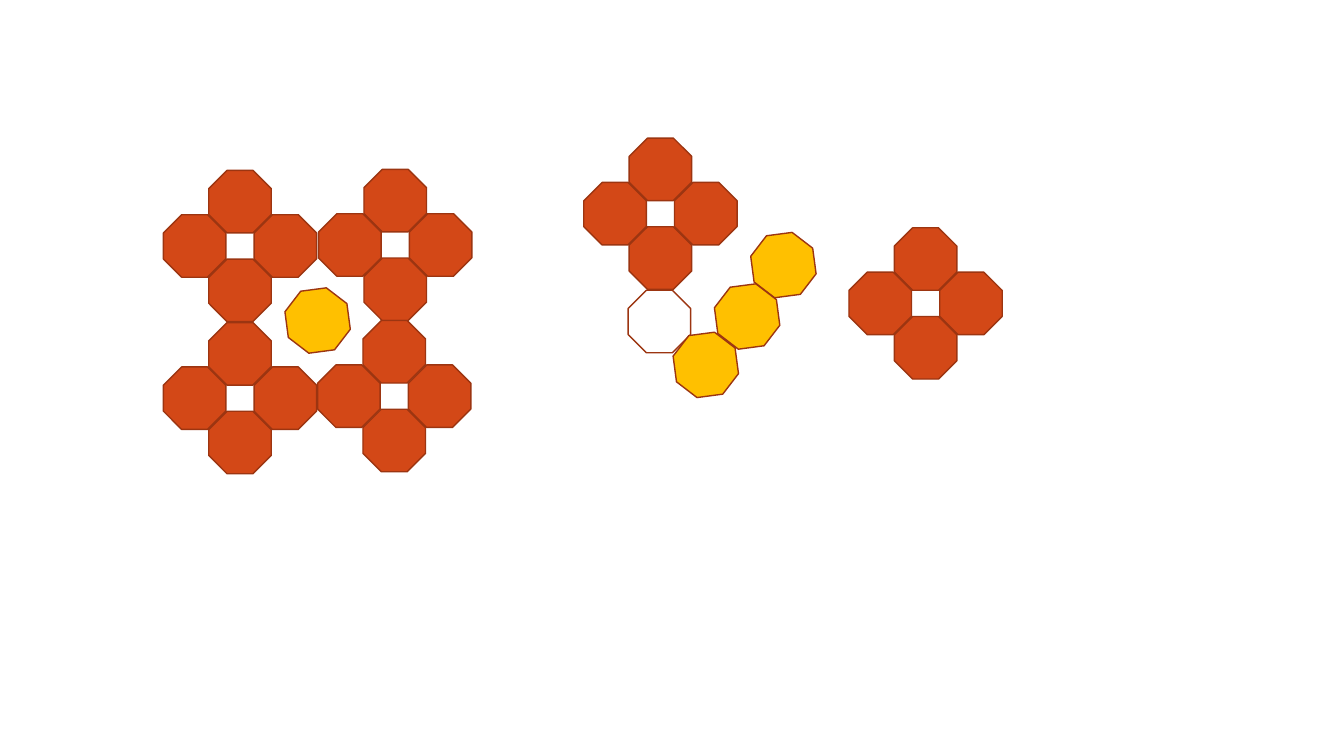
"""Build a slide of octagon flowers with loose yellow and hollow octagons."""
from dataclasses import dataclass
from typing import Optional

from pptx import Presentation
from pptx.dml.color import RGBColor
from pptx.enum.shapes import MSO_SHAPE
from pptx.slide import Slide
from pptx.util import Inches, Pt

COLORS = {"petal": "D34817", "outline": "9C3511", "loose": "FFC000"}
OCTAGON_SIZE = 0.62
LOOSE_ROTATION = 37.5
PETAL_OFFSETS = [(0, -0.44), (0, 0.44), (-0.45, 0), (0.45, 0)]


@dataclass(frozen=True)
class Octagon:
    """An octagon by its top-left corner, fill and rotation."""

    left: float
    top: float
    fill: Optional[str] = None
    rotation: float = 0


@dataclass(frozen=True)
class Flower:
    """Four petals around the top-left corner of an absent middle octagon."""

    left: float
    top: float


FLOWERS = [
    Flower(3.61, 2.12),
    Flower(6.24, 1.81),
    Flower(8.87, 2.7),
    Flower(3.6, 3.62),
    Flower(2.07, 2.13),
    Flower(2.07, 3.64),
]
HOLLOW_OCTAGON = Octagon(6.23, 2.88)
LOOSE_OCTAGONS = [
    Octagon(left, top, "loose", LOOSE_ROTATION)
    for left, top in [(6.69, 3.31), (7.46, 2.32), (2.84, 2.87), (7.1, 2.83)]
]


def draw_octagon(slide: Slide, octagon: Octagon) -> None:
    """Draw one outlined octagon, filled when it names a colour."""
    shape = slide.shapes.add_shape(
        MSO_SHAPE.OCTAGON,
        Inches(octagon.left),
        Inches(octagon.top),
        Inches(OCTAGON_SIZE),
        Inches(OCTAGON_SIZE),
    )
    shape.shadow.inherit = False
    shape.rotation = octagon.rotation
    shape.line.color.rgb = RGBColor.from_string(COLORS["outline"])
    shape.line.width = Pt(1)
    if octagon.fill is None:
        shape.fill.background()
    else:
        shape.fill.solid()
        shape.fill.fore_color.rgb = RGBColor.from_string(COLORS[octagon.fill])


def draw_flower(slide: Slide, flower: Flower) -> None:
    """Draw the four petals of a flower."""
    for across, down in PETAL_OFFSETS:
        draw_octagon(slide, Octagon(flower.left + across, flower.top + down, "petal"))


def main() -> None:
    """Create the presentation and save it."""
    presentation = Presentation()
    presentation.slide_width = Inches(13.33)
    presentation.slide_height = Inches(7.5)
    slide = presentation.slides.add_slide(presentation.slide_layouts[6])
    for octagon in [HOLLOW_OCTAGON, *LOOSE_OCTAGONS]:
        draw_octagon(slide, octagon)
    for flower in FLOWERS:
        draw_flower(slide, flower)
    presentation.save("out.pptx")


main()
